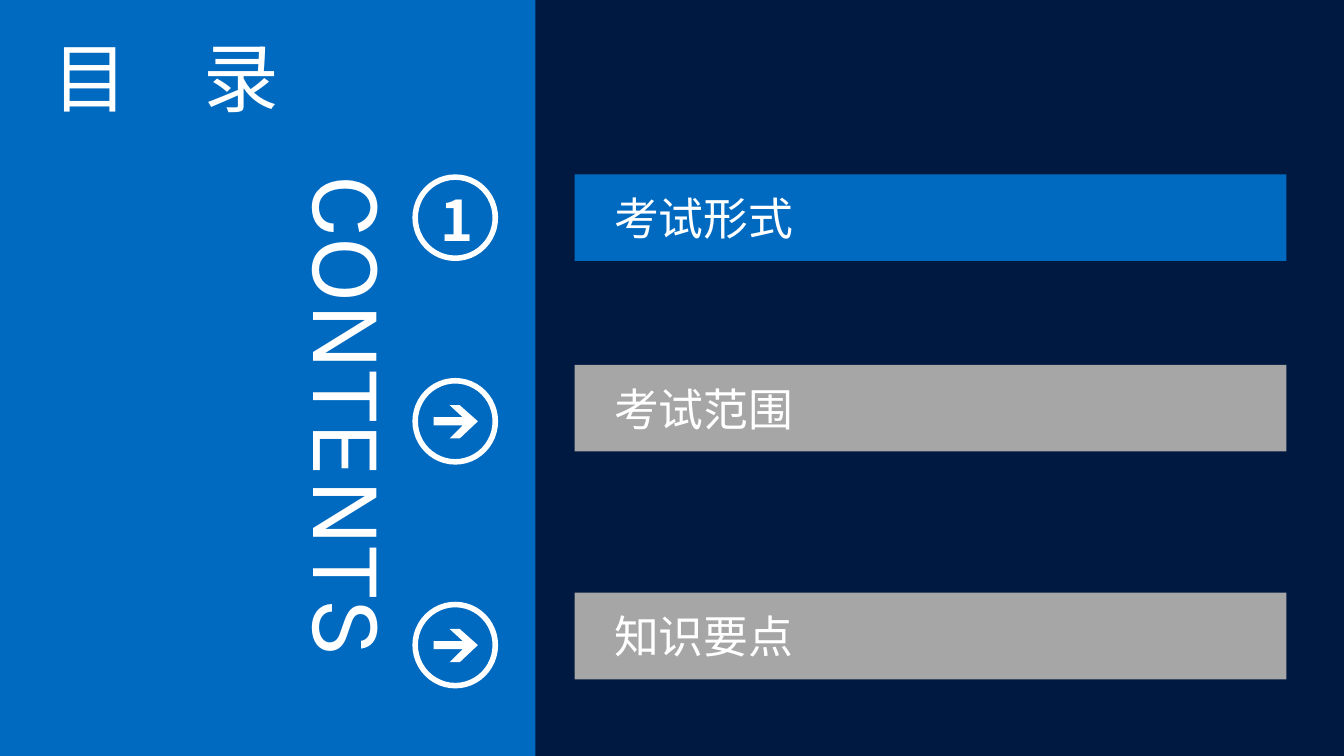
"""Build the contents slide with three numbered section bars."""
from dataclasses import dataclass

from lxml import etree
from pptx import Presentation
from pptx.dml.color import RGBColor
from pptx.enum.shapes import MSO_SHAPE
from pptx.enum.text import MSO_ANCHOR, PP_ALIGN
from pptx.oxml.ns import qn
from pptx.util import Inches, Pt

RECTANGLE, OVAL, DONUT = MSO_SHAPE.RECTANGLE, MSO_SHAPE.OVAL, MSO_SHAPE.DONUT
MIDDLE = MSO_ANCHOR.MIDDLE
LEFT, CENTER, JUSTIFY = PP_ALIGN.LEFT, PP_ALIGN.CENTER, PP_ALIGN.JUSTIFY


@dataclass(frozen=True)
class Theme:
    navy: RGBColor = RGBColor.from_string("001940")
    blue: RGBColor = RGBColor.from_string("006AC1")
    gray: RGBColor = RGBColor.from_string("A6A6A6")
    white: RGBColor = RGBColor.from_string("FFFFFF")
    chinese_font: str = "Noto Sans CJK SC"
    latin_font: str = "Karla"
    title_size: int = 54
    contents_size: int = 72
    section_size: int = 32
    number_size: int = 40


theme = Theme()


def paint(shape, color):
    shape.shadow.inherit = False
    shape.fill.solid()
    shape.fill.fore_color.rgb = color
    shape.line.fill.background()
    return shape


def write(shape, text, size, font_name, alignment, bold=False):
    paragraph = shape.text_frame.paragraphs[0]
    paragraph.text = text
    paragraph.alignment = alignment
    font = paragraph.font
    font.size = Pt(size)
    font.bold = bold
    font.color.rgb = theme.white
    font.name = font_name
    properties = paragraph._p.pPr.find(qn("a:defRPr"))
    etree.SubElement(properties, qn("a:ea"), typeface=font_name)
    return paragraph


presentation = Presentation()
presentation.slide_width = Inches(13.33)
presentation.slide_height = Inches(7.5)
slide = presentation.slides.add_slide(presentation.slide_layouts[6])
slide.background.fill.solid()
slide.background.fill.fore_color.rgb = theme.navy
shapes = slide.shapes

paint(shapes.add_shape(RECTANGLE, 0, 0, Inches(5.31), Inches(7.5)), theme.blue)

title = shapes.add_textbox(Inches(0.42), Inches(0.12), Inches(6.18), Inches(1.39))
title.text_frame.word_wrap = True
title.text_frame.vertical_anchor = MIDDLE
heading = write(title, "目　录", theme.title_size, theme.chinese_font, LEFT)
heading.line_spacing = 0.9

contents = shapes.add_textbox(Inches(2.75), Inches(1.64), Inches(1.41), Inches(5.25))
contents.text_frame.word_wrap = True
contents.text_frame._txBody.bodyPr.set("vert", "eaVert")
write(contents, "CONTENTS", theme.contents_size, theme.latin_font, JUSTIFY)

ring_left, ring_width, ring_height = 4.09, 0.85, 0.86
arrow_outline = [(0.21, 0.39), (0.5, 0.39), (0.37, 0.27), (0.47, 0.27), (0.65, 0.43),
                 (0.47, 0.6), (0.37, 0.6), (0.5, 0.47), (0.21, 0.47)]
sections = [
    ("考试形式", 1.73, 1.73, theme.blue, "1"),
    ("考试范围", 3.62, 3.75, theme.gray, None),
    ("知识要点", 5.88, 5.97, theme.gray, None),
]

for name, bar_top, ring_top, color, number in sections:
    bar = paint(shapes.add_shape(RECTANGLE, Inches(5.7), Inches(bar_top),
                                 Inches(7.06), Inches(0.86)), color)
    frame = bar.text_frame
    frame.word_wrap = True
    frame.vertical_anchor = MIDDLE
    frame.margin_left, frame.margin_right = Inches(0.39), Inches(0.1)
    frame.margin_top = frame.margin_bottom = Inches(0.16)
    write(bar, name, theme.section_size, theme.chinese_font, LEFT)

    ring = paint(shapes.add_shape(DONUT, Inches(ring_left), Inches(ring_top),
                                  Inches(ring_width), Inches(ring_height)), theme.white)
    ring.adjustments[0] = 0.065

    if number:
        disc = paint(shapes.add_shape(OVAL, Inches(4.18), Inches(1.86),
                                      Inches(0.64), Inches(0.62)), theme.blue)
        disc.text_frame.vertical_anchor = MIDDLE
        write(disc, number, theme.number_size, theme.chinese_font, CENTER, bold=True)
    else:
        points = [(Inches(ring_left + x), Inches(ring_top + y)) for x, y in arrow_outline]
        builder = shapes.build_freeform(*points[0])
        builder.add_line_segments(points[1:], close=True)
        paint(builder.convert_to_shape(), theme.white)

presentation.save("out.pptx")
